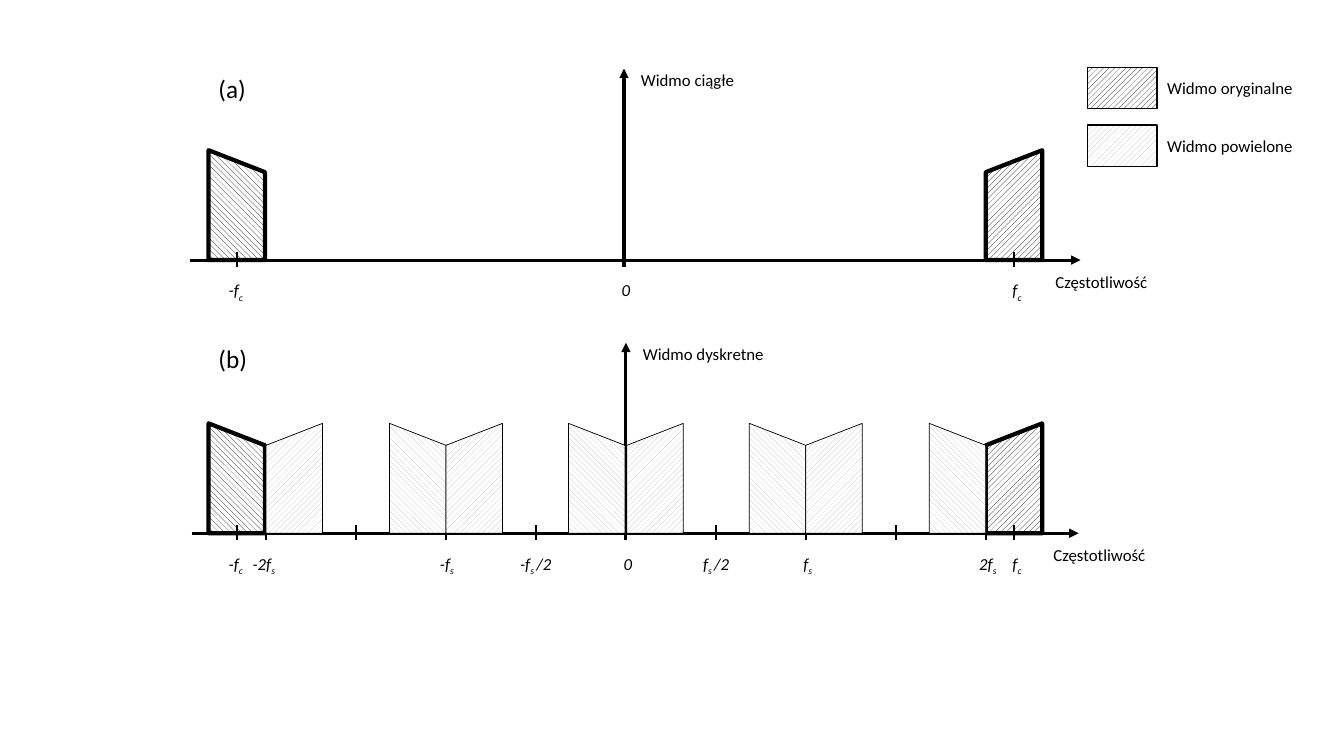
from dataclasses import dataclass

from pptx import Presentation
from pptx.dml.color import RGBColor
from pptx.enum.dml import MSO_PATTERN
from pptx.enum.shapes import MSO_CONNECTOR, MSO_SHAPE
from pptx.enum.text import MSO_AUTO_SIZE, PP_ALIGN
from pptx.oxml.ns import qn
from pptx.util import Pt
from lxml import etree

STRAIGHT = MSO_CONNECTOR.STRAIGHT
TRAPEZOID, RECTANGLE = MSO_SHAPE.FLOWCHART_MANUAL_INPUT, MSO_SHAPE.RECTANGLE
RISING, FALLING = MSO_PATTERN.WIDE_UPWARD_DIAGONAL, MSO_PATTERN.WIDE_DOWNWARD_DIAGONAL
LEFT, CENTER = PP_ALIGN.LEFT, PP_ALIGN.CENTER
FIT_SHAPE = MSO_AUTO_SIZE.SHAPE_TO_FIT_TEXT


@dataclass(frozen=True)
class Theme:
    font: str = "Calibri"
    ink: RGBColor = RGBColor(0, 0, 0)
    pale: RGBColor = RGBColor(0xBF, 0xBF, 0xBF)
    paper: RGBColor = RGBColor(255, 255, 255)
    label_size: float = 12
    tag_size: float = 18
    axis_line: float = 2.25
    tick_line: float = 1.5
    original_line: float = 3
    replica_line: float = 0.5
    legend_line: float = 1


THEME = Theme()

# Labels: centre x, then (text, subscript, text after it)
PANELS = [
    {
        "tag": "(a)", "tag_top": 49, "title": "Widmo ciągłe",
        "zero": 445.7, "base": 185.8, "top": 49, "start": 135.4, "end": 771.8,
        "replicated": False,
        "labels": [(168.5, ("-f", "c", "")), (447, ("0", "", "")), (726.5, ("f", "c", ""))],
    },
    {
        "tag": "(b)", "tag_top": 241.9, "title": "Widmo dyskretne",
        "zero": 447.1, "base": 380.9, "top": 244.8, "start": 136.8, "end": 770.4,
        "replicated": True,
        "labels": [
            (168.5, ("-f", "c", "")), (188.5, ("-2f", "s", "")), (319.3, ("-f", "s", "")),
            (382.7, ("-f", "s ", "/2")), (448.5, ("0", "", "")), (511.5, ("f", "s ", "/2")),
            (577, ("f", "s", "")), (705.7, ("2f", "s", "")), (726.5, ("f", "c", "")),
        ],
    },
]
FREQUENCY_TITLE = "Częstotliwość"
LEGEND = [("Widmo oryginalne", THEME.ink), ("Widmo powielone", THEME.pale)]

NEGATIVE_CARRIER, POSITIVE_CARRIER = 169.2, 724.3
SAMPLING_STEP = 128.5
BAND_WIDTH, BAND_HEIGHT = 40.3, 78.5
AXIS_GAP = 0.7
TICK_ABOVE, TICK_BELOW = 6, 5
LABEL_WIDTH, LABEL_HEIGHT = 50, 21.6
TAG_LEFT = 149
LEGEND_LEFT, LEGEND_TOP, LEGEND_PITCH = 776.9, 48.2, 41.2
SWATCH_WIDTH, SWATCH_HEIGHT = 49.7, 29.5

deck = Presentation()
deck.slide_width, deck.slide_height = Pt(960), Pt(540)
page = deck.slides.add_slide(deck.slide_layouts[6])


def add_line(x1, y1, x2, y2, weight, arrow=False):
    line = page.shapes.add_connector(STRAIGHT, Pt(x1), Pt(y1), Pt(x2), Pt(y2))
    line.line.color.rgb = THEME.ink
    line.line.width = Pt(weight)
    if arrow:
        outline = line.line._get_or_add_ln()
        etree.SubElement(outline, qn("a:tailEnd"), type="triangle")
    etree.SubElement(line._element.spPr, qn("a:effectLst"))


def add_tick(x, base):
    add_line(x, base - TICK_ABOVE, x, base + TICK_BELOW, THEME.tick_line)


def add_hatched(kind, left, top, width, height, color, weight, pattern=RISING):
    shape = page.shapes.add_shape(kind, Pt(left), Pt(top), Pt(width), Pt(height))
    shape.shadow.inherit = False
    shape.fill.patterned()
    shape.fill.pattern = pattern
    shape.fill.fore_color.rgb = color
    shape.fill.back_color.rgb = THEME.paper
    shape.line.color.rgb = THEME.ink
    shape.line.width = Pt(weight)
    return shape


def add_band(left, base, color, weight, mirrored):
    """Draw one sideband standing on the frequency axis."""
    band = add_hatched(TRAPEZOID, left, base - BAND_HEIGHT, BAND_WIDTH, BAND_HEIGHT,
                       color, weight, FALLING if mirrored else RISING)
    if mirrored:
        band._element.spPr.get_or_add_xfrm().set("flipH", "1")


def add_text(parts, left, top, width, size=THEME.label_size, align=LEFT, italic=False):
    """Write parts in turn; every second part is a subscript."""
    box = page.shapes.add_textbox(Pt(left), Pt(top), Pt(width), Pt(LABEL_HEIGHT))
    box.text_frame.word_wrap = True
    box.text_frame.auto_size = FIT_SHAPE
    para = box.text_frame.paragraphs[0]
    para.alignment = align
    para.font.name, para.font.size = THEME.font, Pt(size)
    para.font.italic = italic
    para.font.color.rgb = THEME.ink
    for index, part in enumerate(parts):
        if part:
            span = para.add_run()
            span.text = part
            if index % 2:
                span.font._element.set("baseline", "-25000")


def draw_axes(panel):
    zero, base = panel["zero"], panel["base"]
    add_line(zero, base + TICK_BELOW, zero, panel["top"], THEME.axis_line, arrow=True)
    add_line(panel["start"], base, panel["end"], base, THEME.axis_line, arrow=True)
    add_text([panel["title"]], zero + 5, panel["top"] - 2.5, 110)
    add_text([FREQUENCY_TITLE], panel["end"] - 25, base + 5, 90)
    add_text([panel["tag"]], TAG_LEFT, panel["tag_top"], 45, THEME.tag_size)
    for center, parts in panel["labels"]:
        add_text(parts, center - LABEL_WIDTH / 2, base + 10.8, LABEL_WIDTH,
                 align=CENTER, italic=True)


def draw_originals(base):
    for carrier, mirrored in ((NEGATIVE_CARRIER, True), (POSITIVE_CARRIER, False)):
        add_band(carrier - BAND_WIDTH / 2, base, THEME.ink, THEME.original_line, mirrored)
        add_tick(carrier, base)


def draw_replicas(zero, base):
    for order in range(-2, 3):
        center = zero + order * SAMPLING_STEP
        gap = 0 if order else AXIS_GAP
        if order > -2:
            add_band(center - gap - BAND_WIDTH, base, THEME.pale, THEME.replica_line, True)
        if order < 2:
            add_band(center + gap, base, THEME.pale, THEME.replica_line, False)


for panel in PANELS:
    draw_axes(panel)
    if panel["replicated"]:
        for half_step in range(-4, 5):
            if half_step:
                add_tick(panel["zero"] + half_step * SAMPLING_STEP / 2, panel["base"])
    draw_originals(panel["base"])
    if panel["replicated"]:
        draw_replicas(panel["zero"], panel["base"])

for row, (caption, color) in enumerate(LEGEND):
    top = LEGEND_TOP + row * LEGEND_PITCH
    add_hatched(RECTANGLE, LEGEND_LEFT, top, SWATCH_WIDTH, SWATCH_HEIGHT,
                color, THEME.legend_line)
    add_text([caption], LEGEND_LEFT + SWATCH_WIDTH, top + 4, 115)

deck.save("out.pptx")
